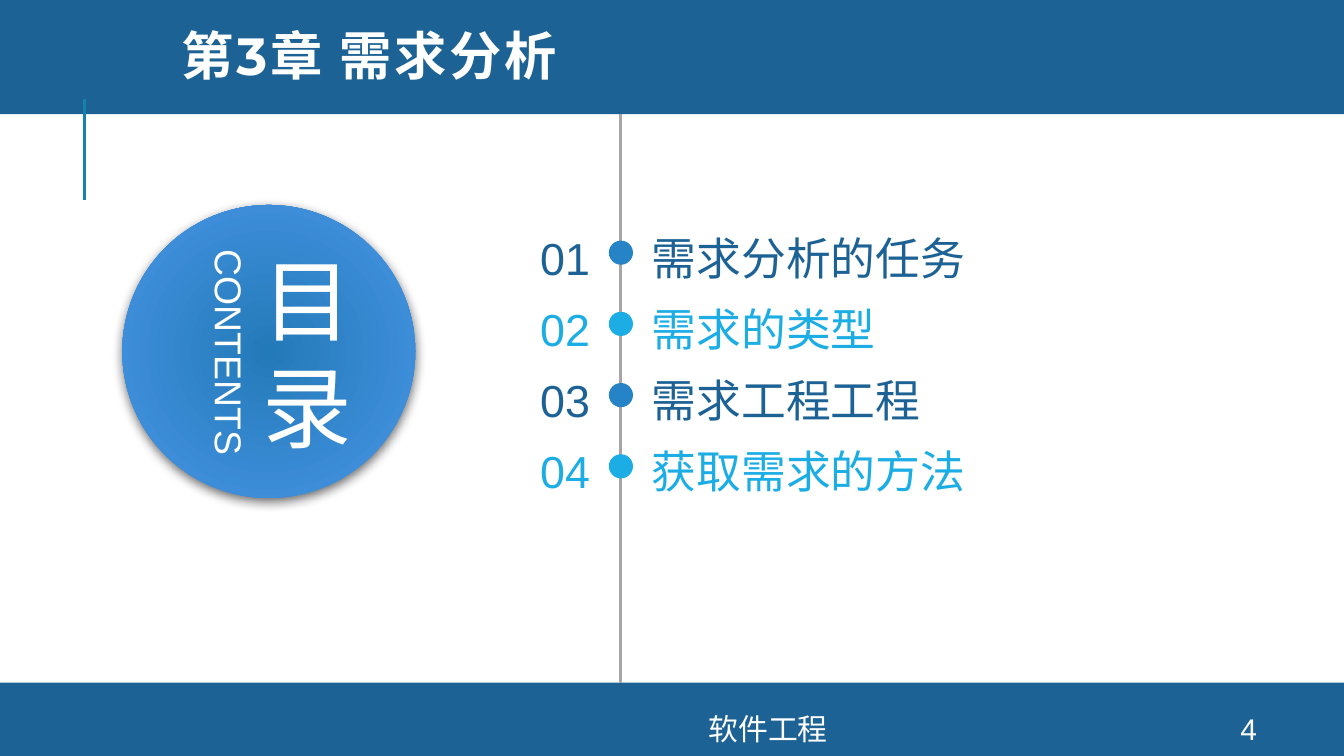
import pptx
import pptx.util
import pptx.dml.color
import pptx.enum.dml
import pptx.enum.shapes
import pptx.enum.text
import pptx.oxml
import pptx.oxml.ns

RGBColor = pptx.dml.color.RGBColor
Shape = pptx.enum.shapes.MSO_SHAPE
Align = pptx.enum.text.PP_ALIGN
Anchor = pptx.enum.text.MSO_ANCHOR
AutoSize = pptx.enum.text.MSO_AUTO_SIZE

NAVY = RGBColor(0x1D, 0x62, 0x94)
BLUE = RGBColor(0x26, 0x83, 0xC6)
SKY = RGBColor(0x1C, 0xAD, 0xE4)
TEAL = RGBColor(0x14, 0x82, 0xAC)
GRAY = RGBColor(0xA6, 0xA6, 0xA6)
WHITE = RGBColor(0xFF, 0xFF, 0xFF)

COLUMNS = 100
ROWS = 56.25  # square grid cells on a 16:9 page
NAMESPACE = pptx.oxml.ns.nsdecls("a")

DISC_GRADIENT = f"""<a:gradFill {NAMESPACE} rotWithShape="1"><a:gsLst>
<a:gs pos="0"><a:srgbClr val="237AB8"/></a:gs>
<a:gs pos="100000"><a:srgbClr val="4895E7"/></a:gs></a:gsLst>
<a:path path="circle"><a:fillToRect l="100000" t="100000" r="100000" b="100000"/></a:path>
</a:gradFill>"""
DISC_SHADOW = f"""<a:effectLst {NAMESPACE}>
<a:outerShdw blurRad="76200" dist="25400" dir="5400000" algn="t" rotWithShape="0">
<a:srgbClr val="000000"><a:alpha val="60000"/></a:srgbClr></a:outerShdw></a:effectLst>"""


class SlideBuilder:
    """Places styled elements on one page; all lengths are grid columns and rows."""

    def __init__(self, deck):
        self.unit = deck.slide_width / COLUMNS
        self.page = deck.slides.add_slide(deck.slide_layouts[5])
        self.font = "Arial"

    def grid(self, *lengths):
        return [round(length * self.unit) for length in lengths]

    def shape(self, kind, place, color):
        shape = self.page.shapes.add_shape(kind, *self.grid(*place))
        shape.shadow.inherit = False
        shape.fill.solid()
        shape.fill.fore_color.rgb = color
        shape.line.fill.background()
        return shape

    def disc(self, place):
        """Circle with a radial gradient and a soft shadow below."""
        disc = self.shape(Shape.OVAL, place, BLUE)
        properties = disc._element.spPr
        for tag, xml in (("a:solidFill", DISC_GRADIENT), ("a:effectLst", DISC_SHADOW)):
            plain = properties.find(pptx.oxml.ns.qn(tag))
            properties.replace(plain, pptx.oxml.parse_xml(xml))

    def line(self, start, end, color):
        line = self.page.shapes.add_connector(
            pptx.enum.shapes.MSO_CONNECTOR.STRAIGHT, *self.grid(*start, *end))
        line.line.color.rgb = color
        line.line.width = pptx.util.Pt(1.5)
        line._element.spPr.append(pptx.oxml.parse_xml(f"<a:effectLst {NAMESPACE}/>"))

    def span(self, para, text, size, color, font=None, bold=False, spacing=0):
        span = para.add_run()
        span.text = text
        span.font.name = font or self.font
        span.font.size = pptx.util.Pt(size)
        span.font.bold = bold
        span.font.color.rgb = color
        if spacing:
            span._r.get_or_add_rPr().set("spc", str(round(spacing * 100)))

    def text(self, place, lines, size, color=WHITE, align=Align.CENTER,
             anchor=Anchor.TOP, padded=True, grow=False, spacing=0):
        box = self.page.shapes.add_textbox(*self.grid(*place))
        frame = box.text_frame
        frame.word_wrap = True
        frame.vertical_anchor = anchor
        frame.auto_size = AutoSize.SHAPE_TO_FIT_TEXT if grow else AutoSize.NONE
        if not padded:
            frame.margin_left = frame.margin_right = 0
            frame.margin_top = frame.margin_bottom = 0
        for index, line in enumerate(lines):
            para = frame.add_paragraph() if index else frame.paragraphs[0]
            para.alignment = align
            self.span(para, line, size, color, spacing=spacing)
        return box

    def title(self, place, text):
        title = self.page.shapes.title
        title.left, title.top, title.width, title.height = self.grid(*place)
        frame = title.text_frame
        frame.word_wrap = True
        frame.auto_size = AutoSize.NONE
        frame.vertical_anchor = Anchor.MIDDLE
        para = frame.paragraphs[0]
        para.alignment = Align.LEFT
        para.line_spacing = 0.8
        self.span(para, text, 28, WHITE, "Montserrat", True, 1.5)
        # The title must lie in front of the header band.
        title._element.getparent().append(title._element)

    def entry(self, row, number, text, dot_color, color):
        """One line of the contents: number, dot on the axis, heading."""
        self.shape(Shape.OVAL, (45.3, row + 0.75, 1.8, 1.8), dot_color)
        self.text((38, row, 5.9, 4), [number], 24, color, Align.RIGHT, padded=False, grow=True)
        self.text((48.5, row, 40, 4), [text], 24, color, Align.LEFT, padded=False, grow=True)


def main():
    deck = pptx.Presentation()
    deck.slide_width = pptx.util.Inches(10)
    deck.slide_height = round(deck.slide_width * ROWS / COLUMNS)
    builder = SlideBuilder(deck)

    header_bottom, footer_top = 8.5, 50.8
    builder.shape(Shape.RECTANGLE, (0, -0.3, COLUMNS, header_bottom + 0.3), NAVY)
    builder.shape(Shape.RECTANGLE, (0, footer_top, COLUMNS, ROWS - footer_top), NAVY)
    builder.line((6.3, 14.9), (6.3, 7.4), TEAL)
    builder.line((46.2, header_bottom), (46.2, footer_top), GRAY)

    builder.disc((9.1, 15.25, 21.8, 21.8))
    builder.text((15.8, 16.1, 14.1, 20.2), ["目", "录"], 48,
                 anchor=Anchor.MIDDLE, padded=False, spacing=6)
    contents = builder.text((6.5, 24, 21.1, 4.4), ["CONTENTS"], 20, grow=True)
    contents.rotation = 90

    for left, width, text in ((26.1, 62.1, "软件工程"), (88.9, 8, "4")):
        builder.text((left, 53.1, width, 2.3), [text], 16, anchor=Anchor.MIDDLE)

    first_row, row_step = 17.15, 5.3
    headings = ("需求分析的任务", "需求的类型", "需求工程工程", "获取需求的方法")
    palette = ((BLUE, NAVY), (SKY, SKY))
    for index, heading in enumerate(headings):
        builder.entry(first_row + index * row_step, f"{index + 1:02}", heading,
                      *palette[index % 2])

    builder.title((12.5, 0.9, 82.6, 7.2), "第3章 需求分析")
    deck.save("out.pptx")


if __name__ == "__main__":
    main()
